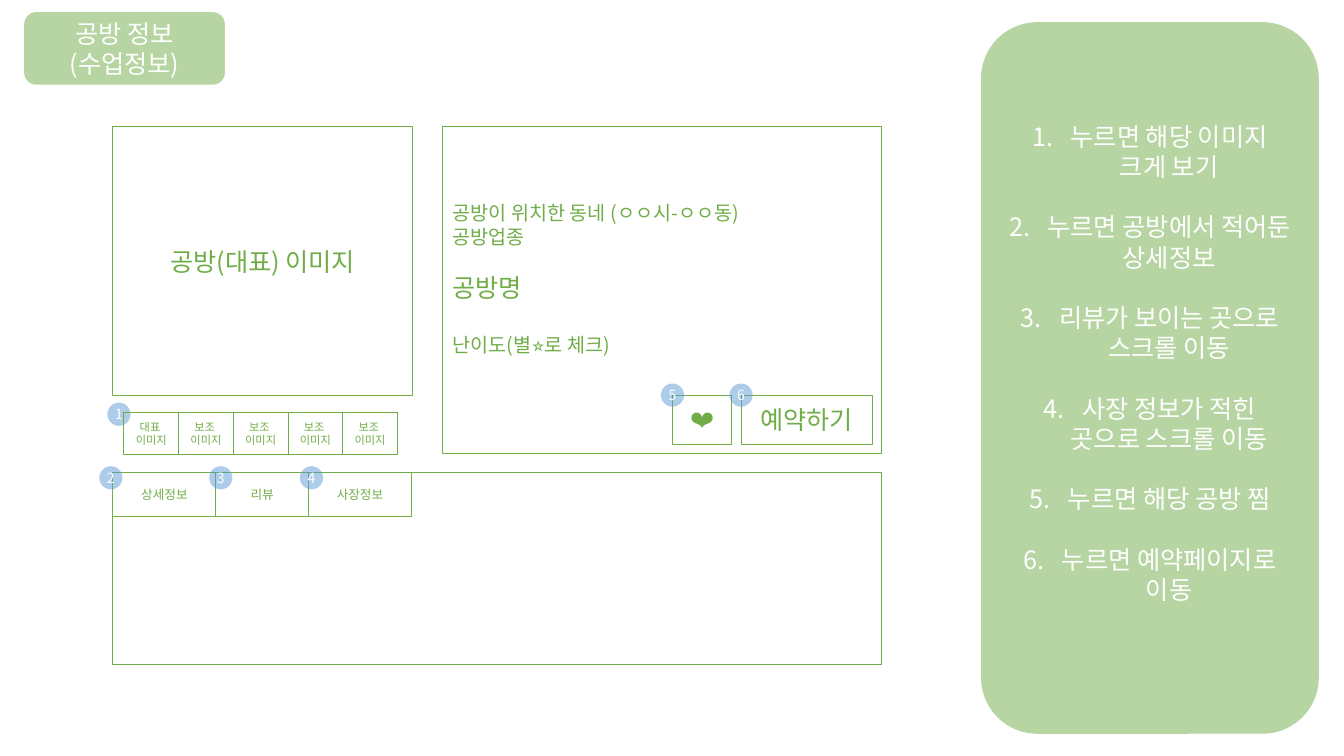
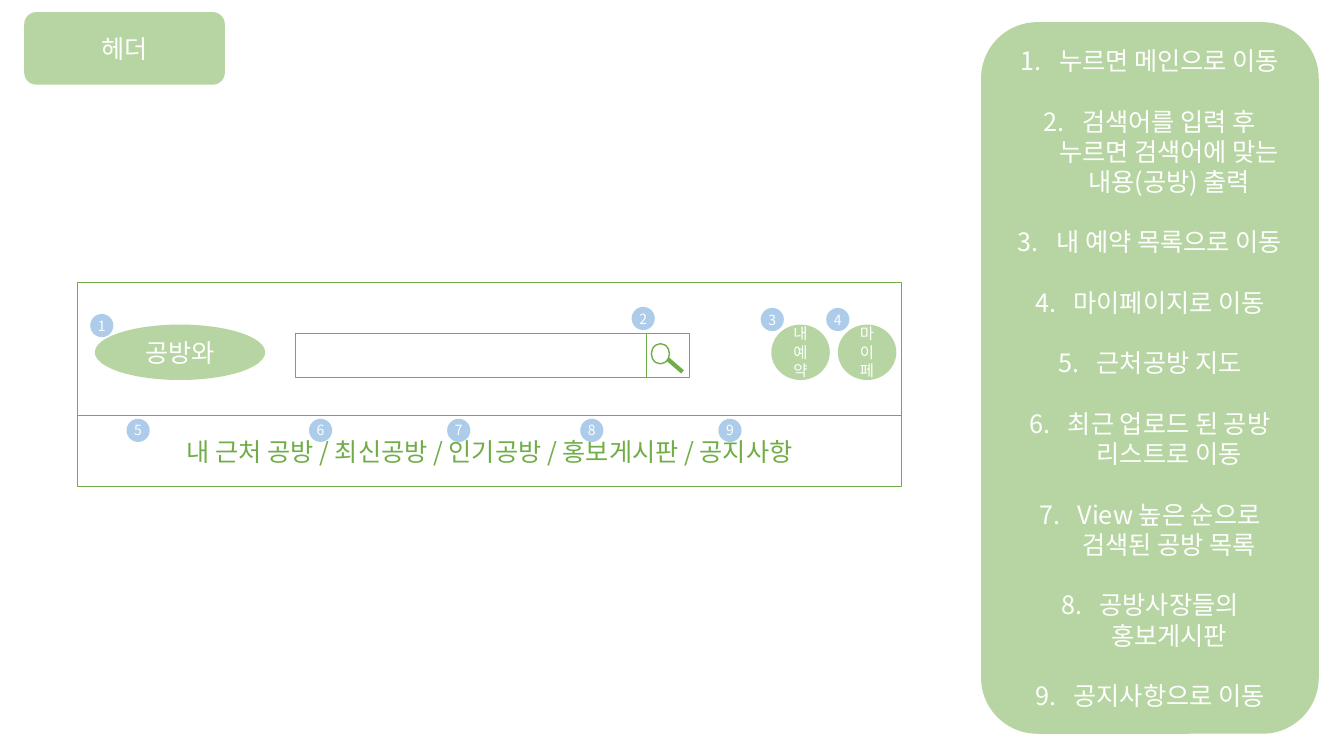
from lxml import etree
from pptx import Presentation
from pptx.dml.color import RGBColor
from pptx.enum.shapes import MSO_CONNECTOR, MSO_SHAPE
from pptx.enum.text import MSO_ANCHOR, MSO_AUTO_SIZE, PP_ALIGN
from pptx.oxml.ns import qn
from pptx.util import Inches, Pt

RECT = MSO_SHAPE.RECTANGLE
ROUNDED = MSO_SHAPE.ROUNDED_RECTANGLE
OVAL = MSO_SHAPE.OVAL
STRAIGHT = MSO_CONNECTOR.STRAIGHT
CENTER = PP_ALIGN.CENTER
LEFT = PP_ALIGN.LEFT
MIDDLE = MSO_ANCHOR.MIDDLE
NO_FIT = MSO_AUTO_SIZE.NONE

FONT = "Noto Sans CJK KR"
GREEN = "70AD47"
BLUE = "5B9BD5"
WHITE = "FFFFFF"
TITLE_BOX = (0.24, 0.12, 1.99, 0.72)
PANEL_BOX = (9.73, 0.22, 3.35, 7.06)
BADGE = 0.23


def rgb(color):
    """Turn a hex string into a colour."""
    return RGBColor.from_string(color)


def inches(*lengths):
    """Convert several lengths to slide units."""
    return [Inches(length) for length in lengths]


def style_paragraph(paragraph, size, color, align=CENTER):
    """Set the alignment and the Latin and East Asian font of a paragraph."""
    paragraph.alignment = align
    font = paragraph.font
    font.size = Pt(size)
    font.color.rgb = rgb(color)
    font.name = FONT
    defaults = paragraph._p.find(".//" + qn("a:defRPr"))
    etree.SubElement(defaults, qn("a:ea")).set("typeface", FONT)


def write(frame, lines, size, color, align=CENTER):
    """Fill a text frame with one paragraph per line."""
    frame.word_wrap = True
    frame.vertical_anchor = MIDDLE
    frame.text = "\n".join(lines)
    for paragraph in frame.paragraphs:
        style_paragraph(paragraph, size, color, align)


def add_tinted(slide, kind, box, color):
    """Add a borderless shape with a half transparent fill."""
    shape = slide.shapes.add_shape(kind, *inches(*box))
    shape.shadow.inherit = False
    shape.fill.solid()
    shape.fill.fore_color.rgb = rgb(color)
    tint = shape.element.spPr.find(".//" + qn("a:srgbClr"))
    etree.SubElement(tint, qn("a:alpha")).set("val", "50000")
    shape.line.fill.background()
    return shape


def add_outline(slide, box, lines=(), size=18, align=CENTER):
    """Add an unfilled green frame with optional text."""
    shape = slide.shapes.add_shape(RECT, *inches(*box))
    shape.shadow.inherit = False
    shape.fill.background()
    shape.line.color.rgb = rgb(GREEN)
    shape.line.width = Pt(0.75)
    if lines:
        write(shape.text_frame, lines, size, GREEN, align)
    return shape


def add_badge(slide, number, x, y):
    """Add a numbered blue dot centred on a point."""
    box = (x - BADGE / 2, y - BADGE / 2, BADGE, BADGE)
    frame = add_tinted(slide, OVAL, box, BLUE).text_frame
    frame.margin_left = frame.margin_right = 0
    frame.margin_top = frame.margin_bottom = 0
    write(frame, [str(number)], 10, WHITE)


def add_title(slide, lines):
    """Place the title placeholder on the shared title band."""
    title = slide.shapes.title
    title.left, title.top, title.width, title.height = inches(*TITLE_BOX)
    title.text_frame.auto_size = NO_FIT
    write(title.text_frame, lines, 18, WHITE)


def add_notes_panel(slide, box, notes, bottom=0.05):
    """Add the green side panel with its numbered explanations."""
    frame = add_tinted(slide, ROUNDED, box, GREEN).text_frame
    frame.margin_bottom = Inches(bottom)
    write(frame, notes, 18, WHITE)
    for index, paragraph in enumerate(frame.paragraphs):
        if index:
            paragraph.space_before = Pt(21.6)
        properties = paragraph._p.pPr
        properties.set("marL", str(Inches(0.38)))
        properties.set("indent", str(-Inches(0.38)))
        numbering = etree.Element(qn("a:buAutoNum"), type="arabicPeriod")
        properties.find(qn("a:defRPr")).addprevious(numbering)


def add_gallery(slide, box):
    """Add the main workshop image and its row of thumbnails."""
    left, top, width, height = box
    add_outline(slide, box, ["공방(대표) 이미지"])
    thumb_left, thumb_top, thumb_width = left + 0.11, top + 2.83, 0.5425
    add_badge(slide, 1, thumb_left - 0.05, thumb_top + 0.02)
    for index, kind in enumerate(["대표 "] + ["보조 "] * 4):
        thumb = (thumb_left + index * thumb_width, thumb_top, thumb_width, 0.42)
        add_outline(slide, thumb, [kind, "이미지"], 8)


def add_workshop_info(slide, box):
    """Add the workshop description with its like and booking buttons."""
    left, top, width, height = box
    lines = ["공방이 위치한 동네 (ㅇㅇ시-ㅇㅇ동)", "공방업종", "공방명", "난이도(별⭐로 체크)"]
    frame = add_outline(slide, box, lines, 14, LEFT).text_frame
    frame.margin_bottom = Inches(0.28)
    name, level = frame.paragraphs[2:]
    name.font.size = Pt(18)
    name.space_before = Pt(16.8)
    level.space_before = Pt(21.6)
    buttons = [(5, "❤", 2.28, 0.59), (6, "예약하기", 2.96, 1.3)]
    for number, label, offset, button_width in buttons:
        button = (left + offset, top + 2.66, button_width, 0.49)
        add_outline(slide, button, [label])
        add_badge(slide, number, button[0], button[1])


def add_detail_tabs(slide, box):
    """Add the detail area with a row of tabs along its top."""
    left, top, width, height = box
    add_outline(slide, box)
    tabs = [("상세정보", 1.02, -0.02), ("리뷰", 0.92, 0.05), ("사장정보", 1.02, 0.03)]
    dots = []
    for label, tab_width, shift in tabs:
        add_outline(slide, (left, top, tab_width, 0.43), [label], 9)
        dots.append(left + shift)
        left += tab_width
    for number, x in enumerate(dots, 2):
        add_badge(slide, number, x, top + 0.05)


def add_search(slide, box):
    """Add the search field and its magnifier button."""
    left, top, width, height = box
    field = width - 0.43
    add_outline(slide, (left, top, field, height))
    add_outline(slide, (left + field, top, 0.43, height))
    x, y = left + field + 0.05, top + 0.1
    lens = slide.shapes.add_shape(OVAL, *inches(x, y, 0.18, 0.2))
    lens.shadow.inherit = False
    lens.fill.solid()
    lens.fill.fore_color.rgb = rgb(WHITE)
    handle = slide.shapes.add_connector(
        STRAIGHT, *inches(x + 0.16, y + 0.15, x + 0.31, y + 0.28))
    for part, weight in ((lens, 1), (handle, 3)):
        part.line.color.rgb = rgb(GREEN)
        part.line.width = Pt(weight)
    etree.SubElement(handle.element.spPr, qn("a:effectLst"))
    add_badge(slide, 2, left + width - 0.46, top - 0.15)


def add_site_header(slide, box):
    """Add the header bar with site name, search and member buttons."""
    left, top, width, height = box
    add_outline(slide, box)
    ovals = [
        (1, "공방와", 18, 0.17, 1.69, 0.07, 0.01),
        (3, "내예약", 11, 6.88, 0.58, 0.01, -0.05),
        (4, "마이페", 11, 7.54, 0.58, 0, -0.05),
    ]
    for number, label, size, offset, oval_width, dx, dy in ovals:
        x, y = left + offset, top + 0.42
        oval = add_tinted(slide, OVAL, (x, y, oval_width, 0.55), GREEN)
        write(oval.text_frame, [label], size, WHITE)
        add_badge(slide, number, x + dx, y + dy)
    add_search(slide, (left + 2.16, top + 0.51, 3.91, 0.44))


def add_menu(slide, box):
    """Add the menu bar and number its entries."""
    left, top, width, height = box
    add_outline(slide, box, ["내 근처 공방 / 최신공방 / 인기공방 / 홍보게시판 / 공지사항"])
    for number, offset in enumerate([0.6, 2.41, 3.78, 5.1, 6.47], 5):
        add_badge(slide, number, left + offset, top + 0.15)


def fill_workshop_slide(slide):
    """Compose the workshop information slide."""
    add_title(slide, ["공방 정보", "(수업정보)"])
    add_notes_panel(slide, PANEL_BOX, [
        "누르면 해당 이미지 크게 보기",
        "누르면 공방에서 적어둔 상세정보",
        "리뷰가 보이는 곳으로 스크롤 이동",
        "사장 정보가 적힌 곳으로 스크롤 이동",
        "누르면 해당 공방 찜",
        "누르면 예약페이지로 이동",
    ], bottom=0.35)
    add_gallery(slide, (1.12, 1.26, 2.97, 2.66))
    add_workshop_info(slide, (4.39, 1.26, 4.35, 3.24))
    add_detail_tabs(slide, (1.12, 4.69, 7.62, 1.9))


def fill_header_slide(slide):
    """Compose the site header slide."""
    add_title(slide, ["헤더"])
    add_notes_panel(slide, PANEL_BOX, [
        "누르면 메인으로 이동",
        "검색어를 입력 후 누르면 검색어에 맞는 내용(공방) 출력",
        "내 예약 목록으로 이동",
        "마이페이지로 이동",
        "근처공방 지도",
        "최근 업로드 된 공방 리스트로 이동",
        "View 높은 순으로 검색된 공방 목록",
        "공방사장들의 홍보게시판",
        "공지사항으로 이동",
    ])
    add_site_header(slide, (0.77, 2.8, 8.17, 1.32))
    add_menu(slide, (0.77, 4.12, 8.17, 0.71))


def main():
    """Build both slides on a layout that carries the title band."""
    deck = Presentation()
    deck.slide_width, deck.slide_height = inches(13.33, 7.5)
    layout = deck.slide_layouts[5]
    workshop, header = [deck.slides.add_slide(layout) for _ in range(2)]
    band = add_tinted(workshop, ROUNDED, TITLE_BOX, GREEN)
    layout.shapes.element.append(band.element)
    fill_workshop_slide(workshop)
    fill_header_slide(header)
    deck.save("out.pptx")


if __name__ == "__main__":
    main()
